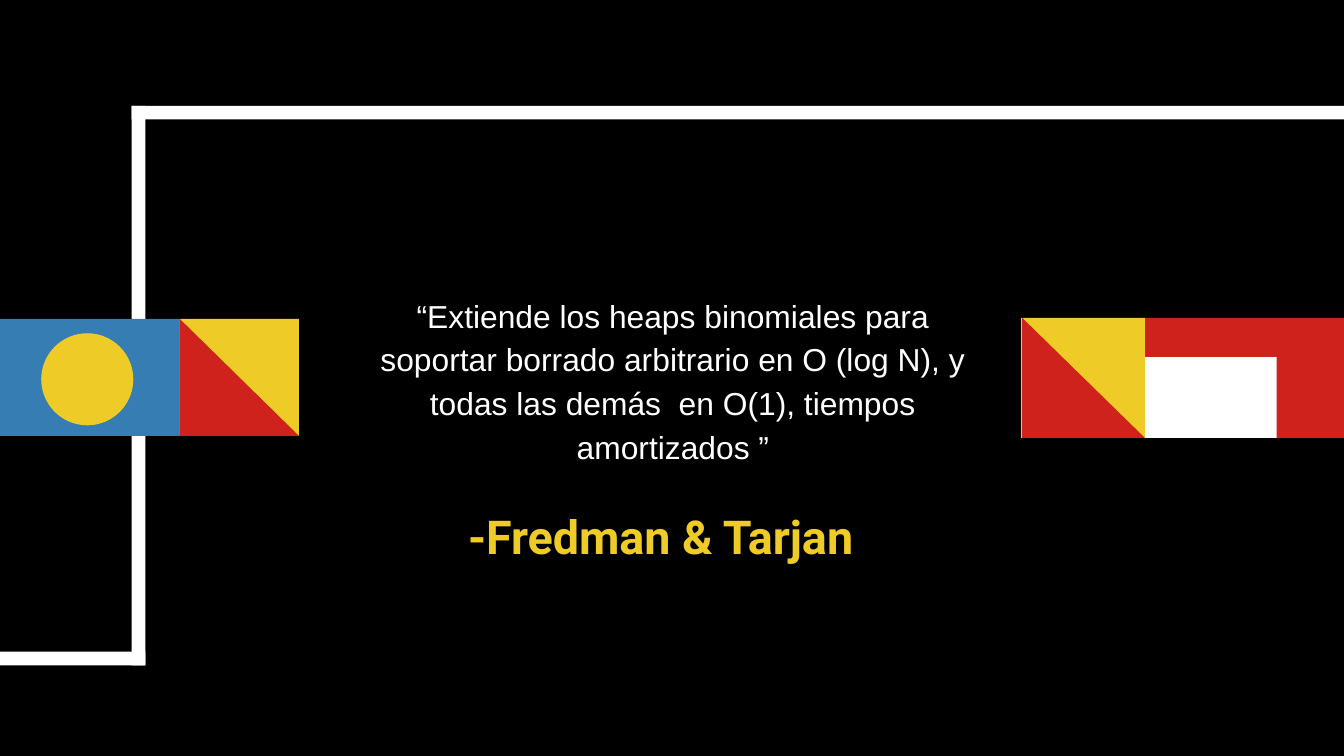
from pptx import Presentation
from pptx.dml.color import RGBColor
from pptx.enum.shapes import MSO_SHAPE as Kind
from pptx.enum.text import MSO_ANCHOR as Anchor, PP_ALIGN as Align
from pptx.util import Cm, Pt

BLACK, WHITE, RED = "000000", "FFFFFF", "D0221C"
GOLD, BLUE = "EFCB27", "357DB2"
WIDE, HIGH = 25.4, 14.29
BAR = 0.26
BOX, OVAL, HALF = Kind.RECTANGLE, Kind.OVAL, Kind.RIGHT_TRIANGLE

# Bars of the frame: left, top, width, height in cm
FRAME = [
    (2.49, 2, BAR, 10.58),
    (0, 12.32, 2.75, BAR),
    (2.49, 2, WIDE - 2.49, BAR),
]

# Each flag: top and height, then parts as kind, colour, left, width,
# gap above, gap below
FLAGS = [
    (6.03, 2.21, [
        (BOX, BLUE, 0, 3.41, 0, 0),
        (OVAL, GOLD, 0.78, 1.74, 0.27, 0.2),
        (BOX, GOLD, 3.4, 2.25, 0, 0),
        (HALF, RED, 3.4, 2.25, 0, 0),
    ]),
    (6.01, 2.27, [
        (BOX, RED, 21.6, WIDE - 21.6, 0, 0),
        (BOX, WHITE, 21.6, 2.53, 0.74, 0),
        (BOX, GOLD, 19.3, 2.34, 0, 0),
        (HALF, RED, 19.32, 2.32, 0, 0),
    ]),
]

QUOTE = ("“Extiende los heaps binomiales para soportar borrado arbitrario "
         "en O (log N), y todas las demás  en O(1), tiempos amortizados ”")
TEXTS = [
    (QUOTE, (6.88, 4.52, 11.68, 5.26), 1.15, WHITE,
     {"name": "Arial", "size": Pt(17), "bold": False}),
    ("-Fredman & Tarjan", (7.62, 9.42, 9.73, 1.4), 1, GOLD,
     {"name": "Roboto", "size": Pt(25), "bold": True}),
]


def paint(fill, tint):
    fill.solid()
    fill.fore_color.rgb = RGBColor.from_string(tint)


def draw(slide, kind, tint, *place):
    shape = slide.shapes.add_shape(kind, *map(Cm, place))
    shape.shadow.inherit = False
    shape.line.fill.background()
    paint(shape.fill, tint)


def write(slide, text, place, lead, tint, style):
    frame = slide.shapes.add_textbox(*map(Cm, place)).text_frame
    frame.word_wrap = True
    frame.vertical_anchor = Anchor.MIDDLE
    for side in ("left", "top", "right", "bottom"):
        setattr(frame, "margin_" + side, Cm(0.25))
    para = frame.paragraphs[0]
    para.alignment = Align.CENTER
    para.line_spacing = lead
    run = para.add_run()
    run.text = text
    for key, value in style.items():
        setattr(run.font, key, value)
    paint(run.font.fill, tint)


def main():
    deck = Presentation()
    deck.slide_width, deck.slide_height = Cm(WIDE), Cm(HIGH)
    slide = deck.slides.add_slide(deck.slide_layouts[6])
    paint(slide.background.fill, BLACK)
    for bar in FRAME:
        draw(slide, BOX, WHITE, *bar)
    for item in TEXTS:
        write(slide, *item)
    for top, high, parts in FLAGS:
        for kind, tint, left, wide, above, below in parts:
            draw(slide, kind, tint, left, top + above, wide,
                 high - above - below)
    deck.save("out.pptx")


if __name__ == "__main__":
    main()
